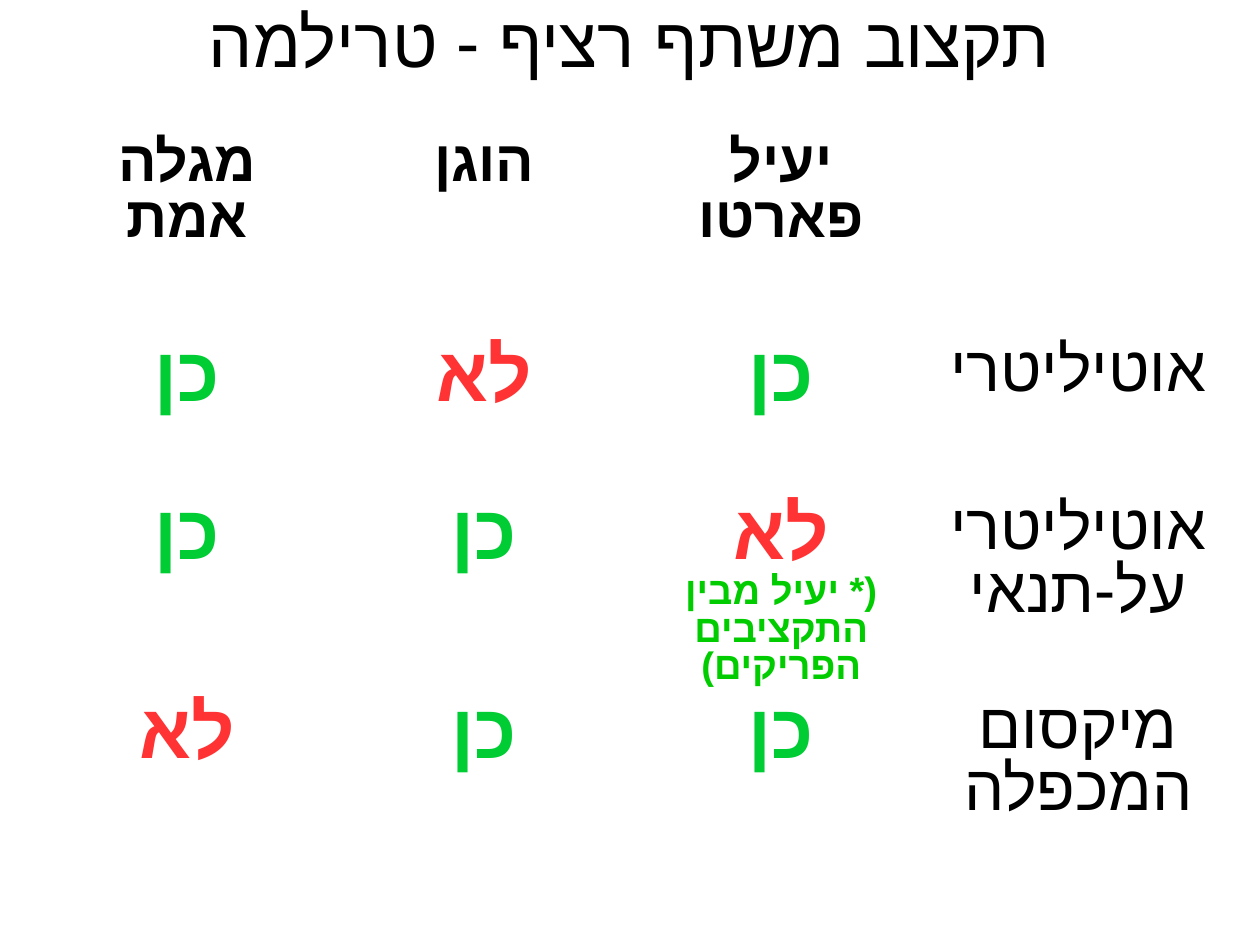
"""Build a slide comparing three budgeting rules in a right-to-left table."""
from lxml import etree
from pptx import Presentation
from pptx.dml.color import RGBColor
from pptx.enum.text import MSO_ANCHOR, PP_ALIGN
from pptx.oxml.ns import qn
from pptx.util import Cm, Pt

CENTER = PP_ALIGN.CENTER
MIDDLE = MSO_ANCHOR.MIDDLE
FONT = "Arial"
COLORS = {"text": "000000", "yes": "00CC33", "no": "FF3333", "note": "00CC00"}
STYLES = {
    "title": (44, False, "text"),
    "heading": (36, True, "text"),
    "rule": (40, False, "text"),
    "yes": (48, True, "yes"),
    "no": (48, True, "no"),
    "note": (24, True, "note"),
}
YES = ("כן", "yes")
NO = ("לא", "no")
NOTE = ("(* יעיל מבין התקציבים הפריקים)", "note")
ROWS = [
    [[("מגלה אמת", "heading")], [("הוגן", "heading")], [("יעיל פארטו", "heading")], []],
    [[YES], [NO], [YES], [("אוטיליטרי", "rule")]],
    [[YES], [YES], [NO, NOTE], [("אוטיליטרי על-תנאי", "rule")]],
    [[NO], [YES], [YES], [("מיקסום המכפלה", "rule")]],
]
ROW_HEIGHTS = [4.57, 3.51, 4.22, 4.22]
COLUMN_WIDTH = 6.6


def write_hebrew(paragraph, text, style):
    size, bold, color = STYLES[style]
    paragraph.text = text
    paragraph.alignment = CENTER
    paragraph.line_spacing = 0.88
    paragraph.space_before = Pt(0)
    paragraph._p.get_or_add_pPr().set("rtl", "1")
    font = paragraph.runs[0].font
    font.size = Pt(size)
    font.bold = bold
    font.name = FONT
    font.color.rgb = RGBColor.from_string(COLORS[color])
    etree.SubElement(font._element, qn("a:cs")).set("typeface", FONT)


presentation = Presentation()
presentation.slide_width = Cm(28)
presentation.slide_height = Cm(21)
slide = presentation.slides.add_slide(presentation.slide_layouts[5])

title = slide.shapes.title
title.left, title.top, title.width, title.height = Cm(0), Cm(-0.25), Cm(28), Cm(2.54)
frame = title.text_frame
frame.margin_left = frame.margin_right = frame.margin_top = frame.margin_bottom = 0
frame.vertical_anchor = MIDDLE
write_hebrew(frame.paragraphs[0], "תקצוב משתף רציף - טרילמה", "title")

table_shape = slide.shapes.add_table(
    len(ROWS), len(ROWS[0]), Cm(0.86), Cm(2.9),
    Cm(COLUMN_WIDTH * len(ROWS[0])), Cm(sum(ROW_HEIGHTS)))
table = table_shape.table
table.first_row = table.horz_banding = False
table_shape._element.find(".//" + qn("a:tableStyleId")).text = "{2D5ABB26-0587-4C30-8999-92F81FD0307C}"
for column in table.columns:
    column.width = Cm(COLUMN_WIDTH)

for row_index, (row, height) in enumerate(zip(ROWS, ROW_HEIGHTS)):
    table.rows[row_index].height = Cm(height)
    for column_index, lines in enumerate(row):
        cell = table.cell(row_index, column_index)
        cell.fill.background()
        for line_index, (text, style) in enumerate(lines):
            text_frame = cell.text_frame
            paragraph = text_frame.add_paragraph() if line_index else text_frame.paragraphs[0]
            write_hebrew(paragraph, text, style)

presentation.save("out.pptx")
